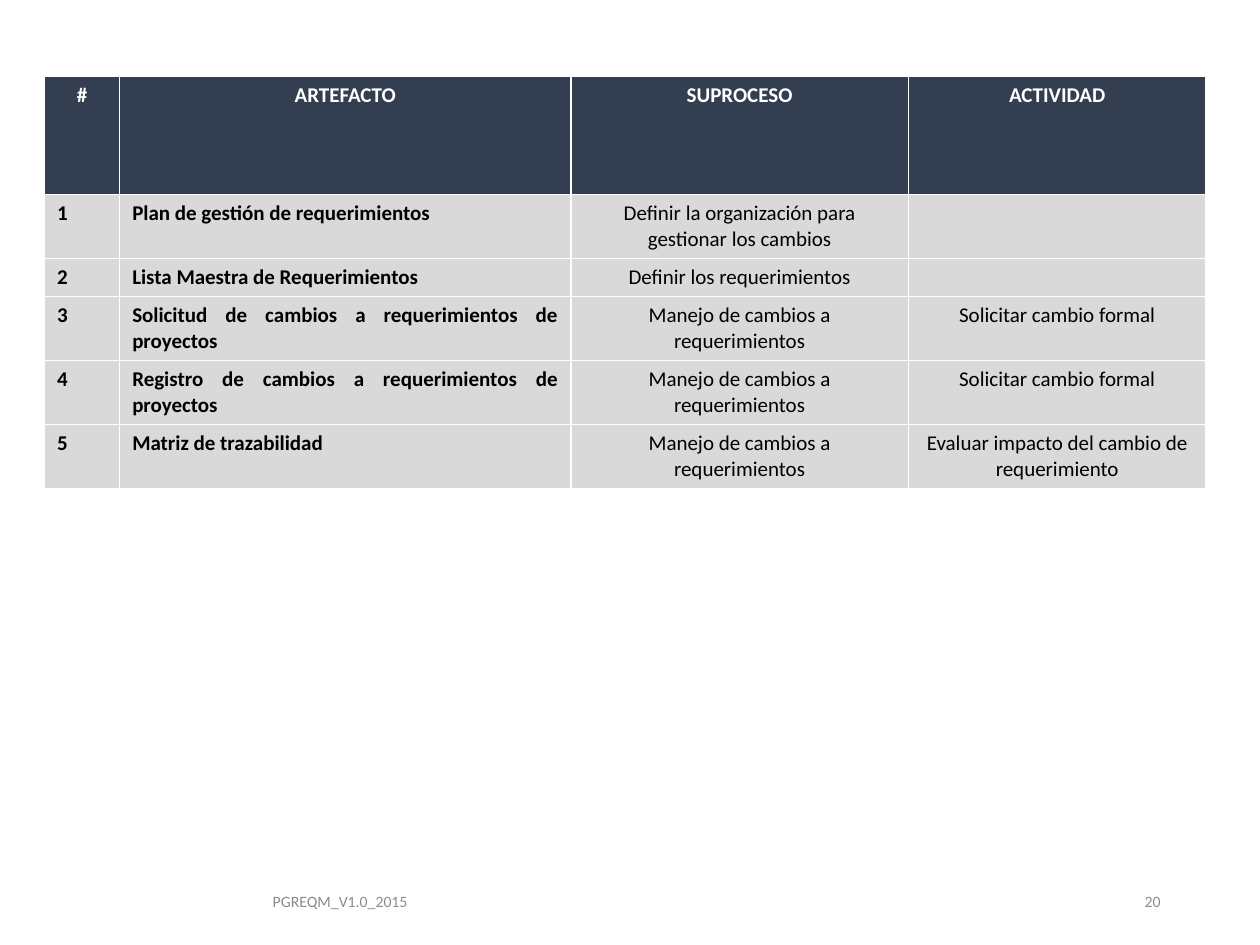
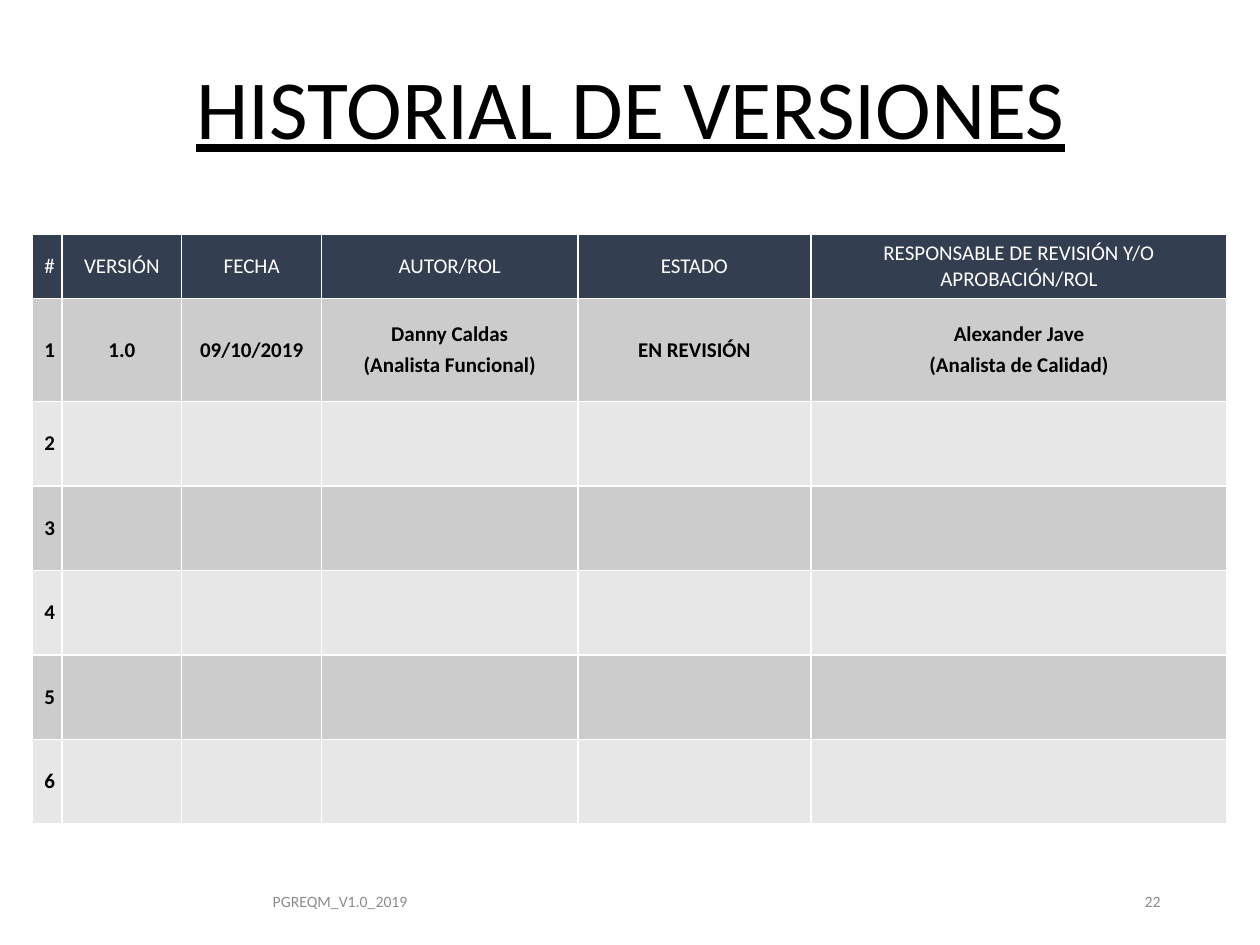
"""Build the artefact list and version history slides."""
from lxml import etree
from pptx import Presentation
from pptx.dml.color import RGBColor
from pptx.enum.text import MSO_ANCHOR, PP_ALIGN
from pptx.oxml.ns import qn
from pptx.util import Pt

CENTER, RIGHT, JUSTIFY = PP_ALIGN.CENTER, PP_ALIGN.RIGHT, PP_ALIGN.JUSTIFY
TOP, MIDDLE, BOTTOM = MSO_ANCHOR.TOP, MSO_ANCHOR.MIDDLE, MSO_ANCHOR.BOTTOM

WHITE = RGBColor(0xFF, 0xFF, 0xFF)
BLACK = RGBColor(0, 0, 0)
NAVY = RGBColor(0x33, 0x3F, 0x50)
MUTED = RGBColor(0x8C, 0x8C, 0x8C)
GRAY = RGBColor(0xD9, 0xD9, 0xD9)
DARK_BAND = RGBColor(0xCC, 0xCC, 0xCC)
LIGHT_BAND = RGBColor(0xE7, 0xE7, 0xE7)

FONT = "Calibri"
BODY_SIZE = 12
PARAGRAPH_GAP = 2.9

ARTEFACTS = [
    ("#", "ARTEFACTO", "SUPROCESO", "ACTIVIDAD"),
    ("1", "Plan de gestión de requerimientos",
     "Definir la organización para gestionar los cambios", ""),
    ("2", "Lista Maestra de Requerimientos", "Definir los requerimientos", ""),
    ("3", "Solicitud de cambios a requerimientos de proyectos",
     "Manejo de cambios a requerimientos", "Solicitar cambio formal"),
    ("4", "Registro de cambios a requerimientos de proyectos",
     "Manejo de cambios a requerimientos", "Solicitar cambio formal"),
    ("5", "Matriz de trazabilidad", "Manejo de cambios a requerimientos",
     "Evaluar impacto del cambio de requerimiento"),
]
ARTEFACT_WIDTHS = [43, 257.8, 193, 170]
ARTEFACT_HEIGHTS = [67.7, 36.6, 21.8, 36.6, 36.6, 36.6]

VERSIONS = [
    ("#", "VERSIÓN", "FECHA", "AUTOR/ROL", "ESTADO",
     "RESPONSABLE DE REVISIÓN Y/O APROBACIÓN/ROL"),
    ("1", "1.0", "09/10/2019", "Danny Caldas\n(Analista Funcional)",
     "EN REVISIÓN", "Alexander Jave\n(Analista de Calidad)"),
] + [(str(n), "", "", "", "", "") for n in range(2, 7)]
VERSION_WIDTHS = [16.8, 68.4, 80, 146.4, 133.2, 237.8]
VERSION_HEIGHTS = [36.5, 59] + [48.3] * 5


def write(tf, text, size=BODY_SIZE, color=BLACK, bold=False, underline=False,
          align=CENTER, line_spacing=None):
    for i, line in enumerate(text.split("\n")):
        p = tf.add_paragraph() if i else tf.paragraphs[0]
        p.alignment = align
        if i:
            p.space_before = Pt(PARAGRAPH_GAP)
        if line_spacing:
            p.line_spacing = line_spacing
        if not line:
            etree.SubElement(p._p, qn("a:endParaRPr"), sz=str(size * 100))
            continue
        r = p.add_run()
        r.text = line
        r.font.name, r.font.size = FONT, Pt(size)
        r.font.bold, r.font.underline = bold, underline
        r.font.color.rgb = color


def add_label(s, text, left, top, width, height, anchor=MIDDLE, **style):
    tf = s.shapes.add_textbox(Pt(left), Pt(top), Pt(width), Pt(height)).text_frame
    tf.word_wrap = True
    tf.vertical_anchor = anchor
    write(tf, text, **style)


def add_footer(s, code, page):
    add_label(s, code, 51.8, 500.4, 285.1, 28.8, size=9, color=MUTED)
    add_label(s, page, 508.3, 500.4, 162, 28.8, size=9, color=MUTED, align=RIGHT)


def set_borders(cell):
    tcPr = cell._tc.get_or_add_tcPr()
    for i, side in enumerate(("lnL", "lnR", "lnT", "lnB")):
        ln = etree.Element(qn(f"a:{side}"), w=str(Pt(1)))
        fill = etree.SubElement(ln, qn("a:solidFill"))
        etree.SubElement(fill, qn("a:srgbClr"), val=str(WHITE))
        tcPr.insert(i, ln)


def add_grid(s, rows, left, top, widths, heights, anchor, bands, cell_style):
    table = s.shapes.add_table(len(rows), len(widths), Pt(left), Pt(top),
                               Pt(sum(widths)), Pt(sum(heights))).table
    for column, width in zip(table.columns, widths):
        column.width = Pt(width)
    for i, (texts, height) in enumerate(zip(rows, heights)):
        table.rows[i].height = Pt(height)
        for j, text in enumerate(texts):
            cell = table.cell(i, j)
            cell.vertical_anchor = anchor
            cell.fill.solid()
            cell.fill.fore_color.rgb = bands[(i - 1) % len(bands)] if i else NAVY
            set_borders(cell)
            write(cell.text_frame, text, color=BLACK if i else WHITE,
                  **cell_style(i, j))


def artefact_style(i, j):
    return {"bold": i == 0 or j < 2, "align": JUSTIFY if i and j < 2 else CENTER}


def version_style(i, j):
    return {"bold": i > 0}


def main():
    prs = Presentation()
    prs.slide_width, prs.slide_height = Pt(720), Pt(540)
    blank = prs.slide_layouts[6]

    s = prs.slides.add_slide(blank)
    add_footer(s, "PGREQM_V1.0_2015", "20")
    add_grid(s, ARTEFACTS, 25.4, 43.4, ARTEFACT_WIDTHS, ARTEFACT_HEIGHTS,
             TOP, [GRAY], artefact_style)

    s = prs.slides.add_slide(blank)
    add_label(s, "HISTORIAL DE VERSIONES", 20.2, 13.7, 680.4, 79.9,
              anchor=BOTTOM, size=48, underline=True, line_spacing=0.9)
    add_footer(s, "PGREQM_V1.0_2019", "22")
    add_grid(s, VERSIONS, 18.2, 134, VERSION_WIDTHS, VERSION_HEIGHTS,
             MIDDLE, [DARK_BAND, LIGHT_BAND], version_style)

    prs.save("out.pptx")


if __name__ == "__main__":
    main()
